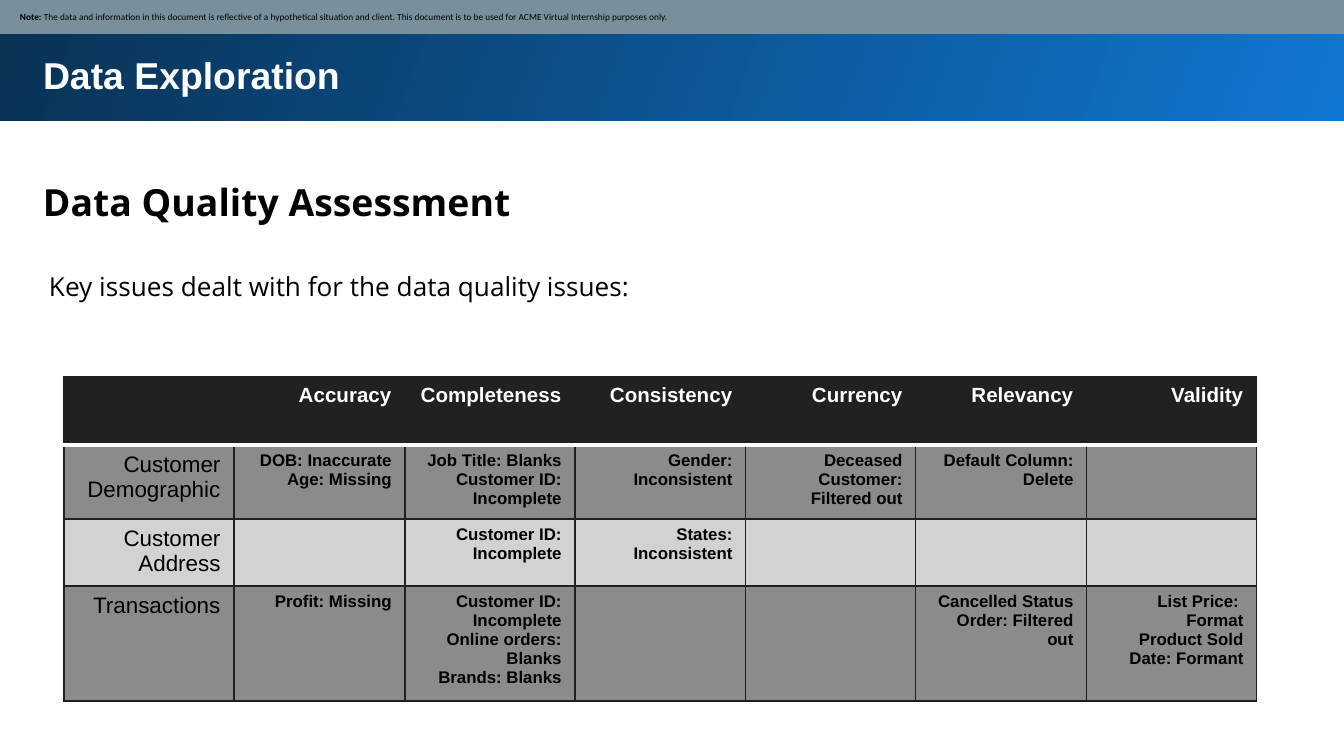
from dataclasses import dataclass
from lxml.etree import SubElement
from pptx import Presentation
from pptx.dml.color import RGBColor as Rgb
from pptx.enum.shapes import MSO_SHAPE as Shape
from pptx.enum.text import MSO_ANCHOR as Anchor, MSO_AUTO_SIZE as AutoSize, PP_ALIGN as Align
from pptx.oxml.ns import qn
from pptx.util import Emu, Pt

SCALE = 914400 / 134.4


@dataclass(frozen=True)
class Theme:
    heading_font: str = "Arial"
    body_font: str = "Open Sans"
    note_font: str = "Calibri"
    title_size: int = 20
    lead_size: int = 14
    row_size: int = 12
    header_size: int = 11
    issue_size: int = 9
    note_size: int = 5
    black: str = "000000"
    white: str = "FFFFFF"
    bright_blue: str = "1077D2"
    dark_blue: str = "093153"
    slate: str = "78909C"
    charcoal: str = "212121"
    dark_band: str = "8B8B8B"
    light_band: str = "D2D2D2"
    border: str = "202020"


@dataclass(frozen=True)
class Frame:
    left: int
    top: int
    width: int
    height: int

    def lengths(self) -> tuple:
        return tuple(px(n) for n in (self.left, self.top, self.width, self.height))


@dataclass(frozen=True)
class Style:
    font: str
    size: int
    color: str
    bold: bool = False


@dataclass(frozen=True)
class TextLine:
    text: str
    frame: Frame
    style: Style


@dataclass(frozen=True)
class Row:
    height: int
    fill: str
    label: str
    issues: tuple


def px(count: int) -> Emu:
    return Emu(round(count * SCALE))


def add_span(para, text: str, style: Style) -> None:
    span = para.add_run()
    span.text = text
    span.font.name = style.font
    span.font.size = Pt(style.size)
    span.font.bold = style.bold
    span.font.color.rgb = Rgb.from_string(style.color)


def set_margins(frame, left: int, rest: int) -> None:
    frame.word_wrap = True
    frame.auto_size = AutoSize.NONE
    frame.margin_left = px(left)
    frame.margin_right = frame.margin_top = frame.margin_bottom = px(rest)


def write_line(box, line: TextLine, spacing: float) -> None:
    box.left, box.top, box.width, box.height = line.frame.lengths()
    set_margins(box.text_frame, 13, 13)
    box.text_frame.vertical_anchor = Anchor.TOP
    para = box.text_frame.paragraphs[0]
    para.alignment = Align.LEFT
    para.line_spacing = spacing
    add_span(para, line.text, line.style)


def add_bar(page, frame: Frame):
    bar = page.shapes.add_shape(Shape.RECTANGLE, *frame.lengths())
    bar.shadow.inherit = False
    bar.line.fill.background()
    return bar


def add_title_bar(page) -> None:
    bar = add_bar(page, Frame(-3, -3, 1351, 124))
    bar.fill.gradient()
    bar.fill.gradient_angle = 160
    for stop, color in zip(bar.fill.gradient_stops, (theme.bright_blue, theme.dark_blue)):
        stop.color.rgb = Rgb.from_string(color)
    page.shapes.title.element.addprevious(bar.element)


def add_note_bar(page) -> None:
    bar = add_bar(page, Frame(-1, -1, 1348, 35))
    bar.fill.solid()
    bar.fill.fore_color.rgb = Rgb.from_string(theme.slate)
    set_margins(bar.text_frame, 21, 7)
    bar.text_frame.vertical_anchor = Anchor.MIDDLE
    para = bar.text_frame.paragraphs[0]
    para.alignment = Align.LEFT
    for text, bold in NOTE:
        add_span(para, text, Style(theme.note_font, theme.note_size, theme.black, bold))


def set_border(cell, side: str, color: str, points: float) -> None:
    line = SubElement(cell._tc.get_or_add_tcPr(), qn(f"a:ln{side}"), w=str(Pt(points)))
    SubElement(SubElement(line, qn("a:solidFill")), qn("a:srgbClr"), val=color)


def fill_cell(cell, text: str, style: Style, fill: str, white_side: str) -> None:
    for side in "LRTB":
        if side == white_side:
            set_border(cell, side, theme.white, 2)
        else:
            set_border(cell, side, theme.border, 0.75)
    cell.fill.solid()
    cell.fill.fore_color.rgb = Rgb.from_string(fill)
    for index, part in enumerate(text.split("\n")):
        paras = cell.text_frame
        para = paras.add_paragraph() if index else paras.paragraphs[0]
        para.alignment = Align.RIGHT
        if part:
            add_span(para, part, style)


def add_issue_table(page) -> None:
    frame = Frame(64, 377, 1193, sum(row.height for row in ROWS))
    columns = 1 + len(ROWS[0].issues)
    table = page.shapes.add_table(len(ROWS), columns, *frame.lengths()).table
    table.first_row = table.horz_banding = False
    for index, column in enumerate(table.columns):
        column.width = px(170 + index % 2)
    label_style = Style(theme.heading_font, theme.row_size, theme.black)
    issue_style = Style(theme.heading_font, theme.issue_size, theme.black, True)
    header_style = Style(theme.heading_font, theme.header_size, theme.white, True)
    for r, row in enumerate(ROWS):
        table.rows[r].height = px(row.height)
        white_side = {0: "B", 1: "T"}.get(r, "")
        for c, text in enumerate((row.label, *row.issues)):
            style = header_style if r == 0 else issue_style if c else label_style
            fill_cell(table.cell(r, c), text, style, row.fill, white_side)


theme = Theme()

NOTE = (
    ("Note: ", True),
    ("The data and information in this document is reflective of a hypothetical situation "
     "and client. This document is to be used for ACME Virtual Internship purposes only.", False),
)
TITLE = TextLine("Data Exploration", Frame(30, 39, 1259, 69),
                 Style(theme.heading_font, theme.title_size, theme.white, True))
LINES = (
    TextLine("Data Quality Assessment", Frame(30, 159, 1259, 75),
             Style(theme.body_font, theme.title_size, theme.black, True)),
    TextLine("Key issues dealt with for the data quality issues:", Frame(36, 253, 1274, 62),
             Style(theme.body_font, theme.lead_size, theme.black)),
)
ROWS = (
    Row(68, theme.charcoal, "",
        ("Accuracy", "Completeness", "Consistency", "Currency", "Relevancy", "Validity")),
    Row(74, theme.dark_band, "Customer Demographic",
        ("DOB: Inaccurate\nAge: Missing", "Job Title: Blanks\nCustomer ID:\nIncomplete",
         "Gender: Inconsistent", "Deceased Customer:\nFiltered out",
         "Default Column:\nDelete", "")),
    Row(67, theme.light_band, "Customer Address",
        ("", "Customer ID:\nIncomplete", "States:\nInconsistent", "", "", "")),
    Row(115, theme.dark_band, "Transactions",
        ("Profit: Missing",
         "Customer ID: Incomplete\nOnline orders:\nBlanks\nBrands: Blanks", "", "",
         "Cancelled Status Order: Filtered out",
         "List Price: \nFormat\nProduct Sold Date: Formant")),
)

deck = Presentation()
deck.slide_width, deck.slide_height = px(1344), px(756)
page = deck.slides.add_slide(deck.slide_layouts[5])
add_title_bar(page)
write_line(page.shapes.title, TITLE, 1.0)
for line in LINES:
    write_line(page.shapes.add_textbox(*line.frame.lengths()), line, 1.15)
add_note_bar(page)
add_issue_table(page)
deck.save("out.pptx")
